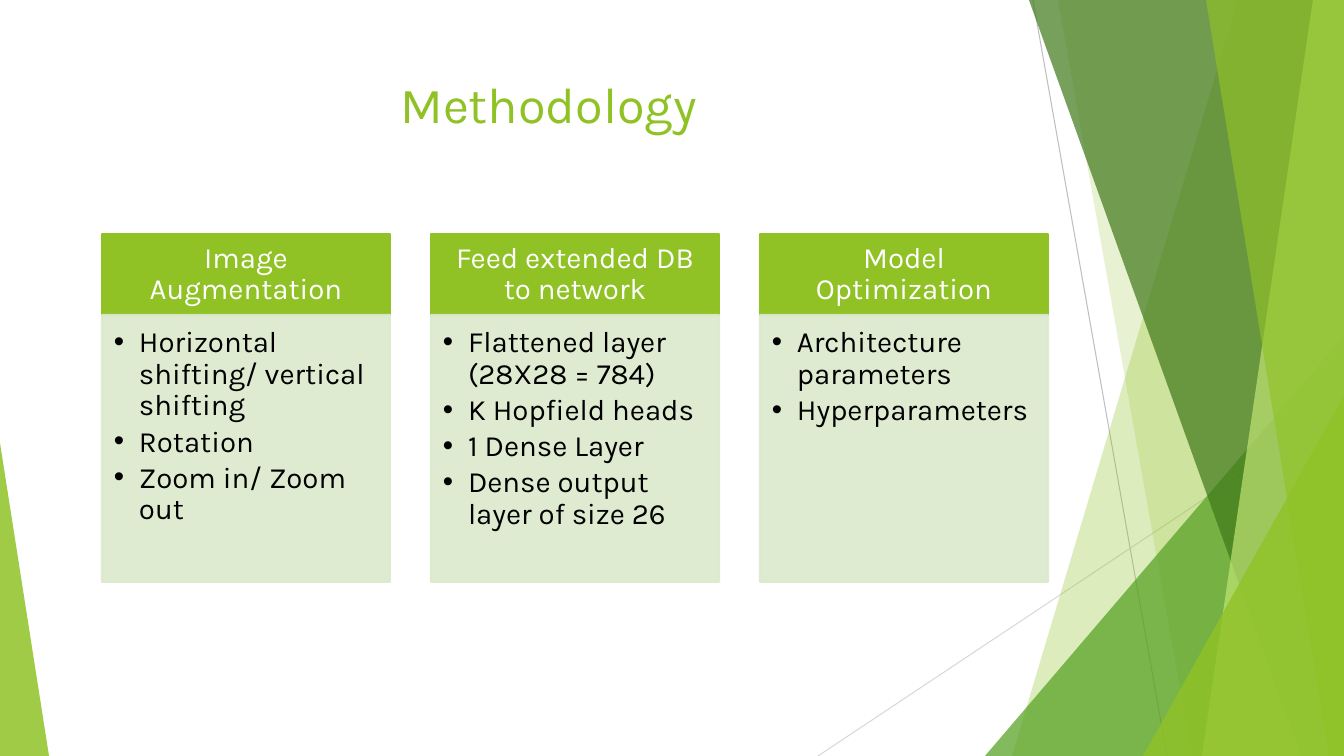
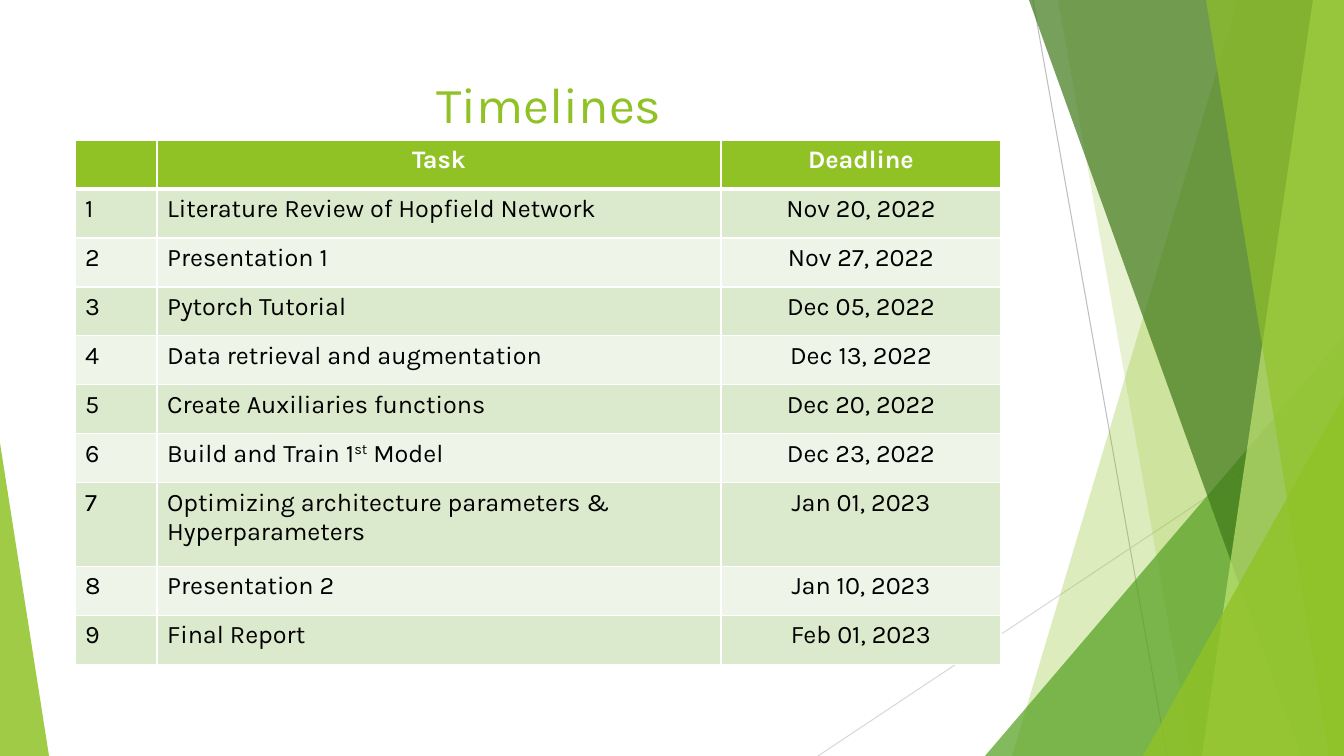
"""Builds the methodology and timeline slides over one shared green backdrop."""
from lxml import etree
from pptx import Presentation
from pptx import util as u
from pptx.dml.color import RGBColor
from pptx.enum import shapes, text
from pptx.oxml.ns import qn

EMU_PER_PX = 914400 / 100.8
WIDTH, HEIGHT = 1344, 756
FONT = "Karla"
COLORS = {
    "green": "90C226", "mid": "54A021", "dark": "3F7819", "lime": "C0E474",
    "pale": "DBE9CD", "paler": "EEF4E8", "white": "FFFFFF", "black": "000000",
    "gray": "BFBFBF", "light_gray": "D9D9D9",
}
LINES = [((1033, 0), (1167, HEIGHT), "gray"), ((WIDTH, 406), (818, HEIGHT), "light_gray")]
RIBBONS_BACK = [(1238, 1012, "green", 30), (1058, 1192, "green", 20)]
RIBBONS_FRONT = [(1029, 1301, "dark", 70), (1313, 1202, "lime", 70), (1206, 1329, "green", 65)]
TRIANGLE_BACK = (985, 336, 359, 420, 1, "mid", 72)
TRIANGLES_FRONT = [(1143, 396, 201, 360, 1, "green", 80), (0, 443, 49, 313, 0, "green", 85)]
STEPS = [
    ("Image Augmentation",
     ["Horizontal shifting/ vertical shifting", "Rotation", "Zoom in/ Zoom out"]),
    ("Feed extended DB to network",
     ["Flattened layer (28X28 = 784)", "K Hopfield heads", "1 Dense Layer",
      "Dense output layer of size 26"]),
    ("Model Optimization", ["Architecture parameters", "Hyperparameters"]),
]
TASKS = [
    (["Literature Review of Hopfield Network"], "Nov 20, 2022"),
    (["Presentation 1"], "Nov 27, 2022"),
    (["Pytorch Tutorial"], "Dec 05, 2022"),
    (["Data retrieval and augmentation"], "Dec 13, 2022"),
    (["Create Auxiliaries functions"], "Dec 20, 2022"),
    (["Build and Train 1", "st", " Model"], "Dec 23, 2022"),
    (["Optimizing architecture parameters & Hyperparameters"], "Jan 01, 2023"),
    (["Presentation 2"], "Jan 10, 2023"),
    (["Final Report"], "Feb 01, 2023"),
]


def px(n):
    return u.Emu(round(n * EMU_PER_PX))


def rgb(name):
    return RGBColor.from_string(COLORS[name])


def add_run(p, content, size, color, bold=False):
    r = p.add_run()
    r.text = content
    r.font.name, r.font.size, r.font.bold = FONT, u.Pt(size), bold
    r.font.color.rgb = rgb(color)
    return r


def paint(sp, color, opacity=100, outlined=False):
    sp.shadow.inherit = False
    sp.fill.solid()
    sp.fill.fore_color.rgb = rgb(color)
    if outlined:
        sp.line.color.rgb = rgb(color)
        sp.line.width = u.Pt(1.5)
    else:
        sp.line.fill.background()
    if opacity < 100:
        for clr in sp.element.iter(qn("a:srgbClr")):
            etree.SubElement(clr, qn("a:alpha")).set("val", str(opacity * 1000))


def add_line(parent, start, end, color):
    line = parent.add_connector(shapes.MSO_CONNECTOR.STRAIGHT, *map(px, start + end))
    line.line.color.rgb = rgb(color)
    line.line.width = u.Pt(0.75)
    etree.SubElement(line.element.spPr, qn("a:effectLst"))


def add_ribbon(parent, top_x, bottom_x, color, opacity):
    outline = parent.build_freeform(top_x, 0, scale=EMU_PER_PX)
    outline.add_line_segments([(WIDTH, 0), (WIDTH, HEIGHT), (bottom_x, HEIGHT)], close=True)
    paint(outline.convert_to_shape(), color, opacity)


def add_triangle(parent, x, y, w, h, apex, color, opacity):
    sp = parent.add_shape(shapes.MSO_SHAPE.ISOSCELES_TRIANGLE, *map(px, (x, y, w, h)))
    sp.adjustments[0] = apex
    paint(sp, color, opacity)


def add_backdrop(layout, slide):
    group = slide.shapes.add_group_shape()
    parent = group.shapes
    for line in LINES:
        add_line(parent, *line)
    for ribbon in RIBBONS_BACK:
        add_ribbon(parent, *ribbon)
    add_triangle(parent, *TRIANGLE_BACK)
    for ribbon in RIBBONS_FRONT:
        add_ribbon(parent, *ribbon)
    for triangle in TRIANGLES_FRONT:
        add_triangle(parent, *triangle)
    for number, props in enumerate(group.element.iter(qn("p:cNvPr")), 100):
        props.set("id", str(number))
    layout.shapes.element.insert(2, group.element)


def add_slide(prs, layout, title):
    slide = prs.slides.add_slide(layout)
    sp = slide.shapes.title
    sp.left, sp.top, sp.width, sp.height = map(px, (75, 68, 948, 145))
    tf = sp.text_frame
    tf.vertical_anchor = text.MSO_ANCHOR.TOP
    p = tf.paragraphs[0]
    p.alignment = text.PP_ALIGN.CENTER
    add_run(p, title, 36, "green")
    return slide


def add_box(slide, bounds, color, opacity, margins, anchor):
    sp = slide.shapes.add_shape(shapes.MSO_SHAPE.RECTANGLE, *map(px, bounds))
    paint(sp, color, opacity, outlined=True)
    tf = sp.text_frame
    tf.word_wrap = True
    tf.vertical_anchor = anchor
    tf.margin_left, tf.margin_top, tf.margin_right, tf.margin_bottom = map(px, margins)
    return tf


def add_bullet(p, content):
    p.alignment = text.PP_ALIGN.LEFT
    p.line_spacing = 0.9
    p.space_after = u.Pt(3.15)
    add_run(p, content, 21, "black")
    props = p._p.get_or_add_pPr()
    props.set("marL", str(px(25)))
    props.set("indent", str(px(-25)))
    etree.SubElement(props, qn("a:buFont")).set("typeface", "Arial")
    etree.SubElement(props, qn("a:buChar")).set("char", "•")


def add_step(slide, x, heading, items):
    tf = add_box(slide, (x, 234, 288, 81), "green", 100, (16, 9, 16, 9), text.MSO_ANCHOR.MIDDLE)
    p = tf.paragraphs[0]
    p.alignment = text.PP_ALIGN.CENTER
    p.line_spacing = 0.9
    add_run(p, heading, 21, "white")
    tf = add_box(slide, (x, 315, 288, 267), "pale", 90, (12, 12, 16, 18), text.MSO_ANCHOR.TOP)
    for i, item in enumerate(items):
        add_bullet(tf.add_paragraph() if i else tf.paragraphs[0], item)


def set_borders(cell, top, bottom):
    props = cell._tc.get_or_add_tcPr()
    for side, width in (("L", 1), ("R", 1), ("T", top), ("B", bottom)):
        line = etree.SubElement(props, qn(f"a:ln{side}"), w=str(u.Pt(width)))
        fill = etree.SubElement(line, qn("a:solidFill"))
        etree.SubElement(fill, qn("a:srgbClr")).set("val", COLORS["white"])


def fill_cell(cell, runs, row, centered):
    header = row == 0
    set_borders(cell, 3 if row == 1 else 1, 3 if header else 1)
    cell.fill.solid()
    cell.fill.fore_color.rgb = rgb("green" if header else "pale" if row % 2 else "paler")
    p = cell.text_frame.paragraphs[0]
    p.alignment = text.PP_ALIGN.CENTER if centered else text.PP_ALIGN.LEFT
    for content in runs:
        r = add_run(p, content, 18, "white" if header else "black", header)
        if content == "st":
            r.font._element.set("baseline", "30000")


def add_timeline(slide):
    rows = [([], ["Task"], ["Deadline"])]
    rows += [([str(n)], task, [date]) for n, (task, date) in enumerate(TASKS, 1)]
    widths = (82, 564, 280)
    heights = [84 if row[0] == ["7"] else 49 for row in rows]
    frame = slide.shapes.add_table(
        len(rows), len(widths), px(75), px(140), px(sum(widths)), px(sum(heights)))
    table = frame.table
    for column, width in zip(table.columns, widths):
        column.width = px(width)
    for i, (row, height) in enumerate(zip(rows, heights)):
        table.rows[i].height = px(height)
        for j, runs in enumerate(row):
            fill_cell(table.cell(i, j), runs, i, i == 0 or j == 2)


def main():
    prs = Presentation()
    prs.slide_width, prs.slide_height = px(WIDTH), px(HEIGHT)
    layout = prs.slide_layouts.get_by_name("Title Only")
    methodology = add_slide(prs, layout, "Methodology")
    add_backdrop(layout, methodology)
    for i, (heading, items) in enumerate(STEPS):
        add_step(methodology, 102 + 329 * i, heading, items)
    add_timeline(add_slide(prs, layout, "Timelines"))
    prs.save("out.pptx")


if __name__ == "__main__":
    main()
